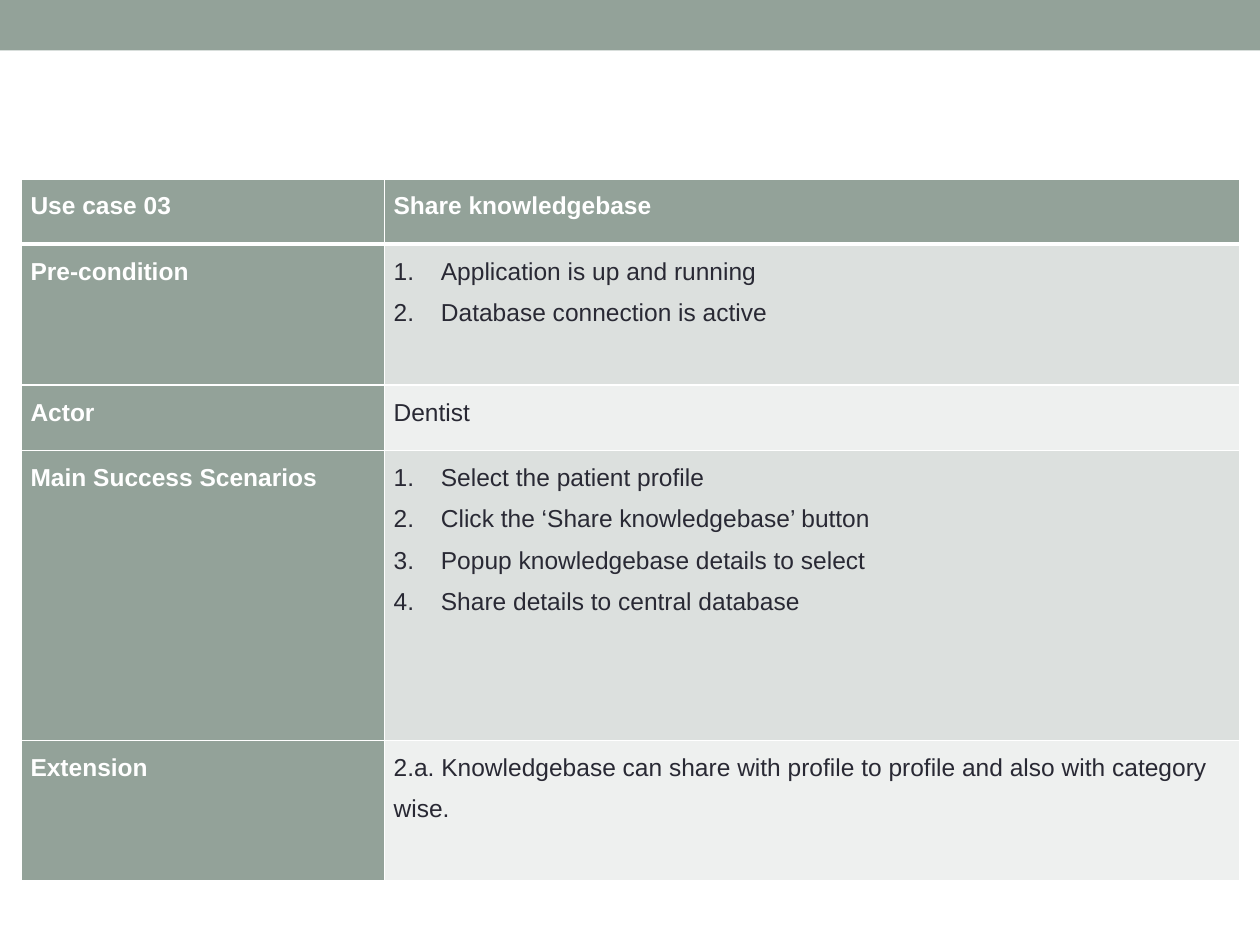
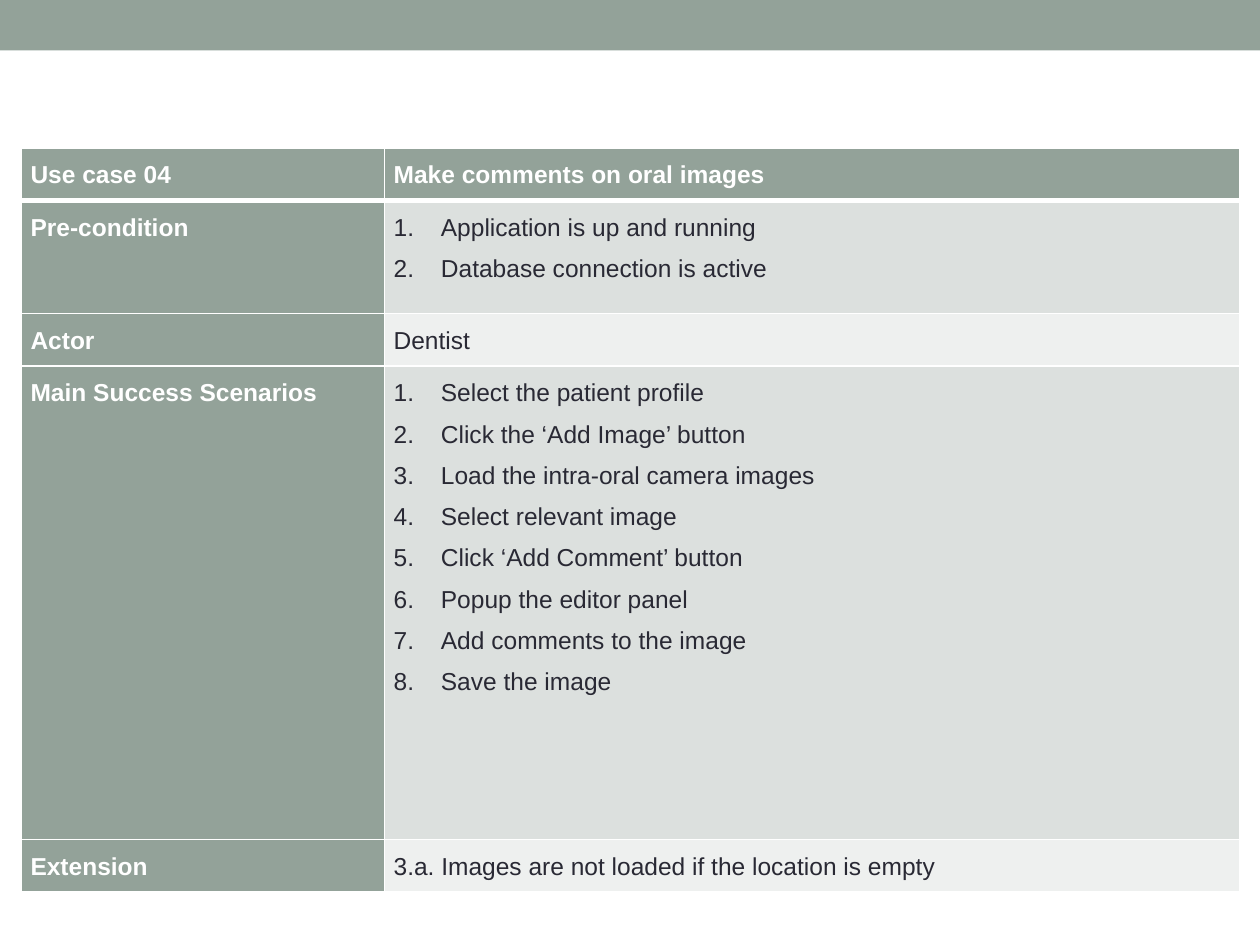
import pptx
import pptx.dml.color
import pptx.enum.shapes
import pptx.util
from lxml import etree
from pptx.oxml.ns import qn

Pt = pptx.util.Pt
SAGE, WHITE, INK = "93A299", "FFFFFF", "292934"
BANDS = ["DCE0DE", "EEF0EF"]
COL_WIDTHS = [207.5, 488.5]
TABLE_LEFT = 12.25
NUMBER_INDENT = 27

# A list holds numbered steps; a plain string is an unnumbered paragraph.
PRECONDITIONS = ["Application is up and running", "Database connection is active"]
USE_CASES = [
    {
        "top": 102.25,
        "heights": [37.3, 80.5, 37.5, 165.6, 80.5],
        "rows": [
            ("Use case 03", "Share knowledgebase"),
            ("Pre-condition", PRECONDITIONS),
            ("Actor", "Dentist"),
            ("Main Success Scenarios", [
                "Select the patient profile",
                "Click the ‘Share knowledgebase’ button",
                "Popup knowledgebase details to select",
                "Share details to central database",
            ]),
            ("Extension", "2.a. Knowledgebase can share with profile to profile "
                          "and also with category wise."),
        ],
    },
    {
        "top": 84.5,
        "heights": [30, 64.6, 30, 270.8, 30],
        "rows": [
            ("Use case 04", "Make comments on oral images"),
            ("Pre-condition", PRECONDITIONS),
            ("Actor", "Dentist"),
            ("Main Success Scenarios", [
                "Select the patient profile",
                "Click the ‘Add Image’ button",
                "Load the intra-oral camera images",
                "Select relevant image",
                "Click ‘Add Comment’ button",
                "Popup the editor panel",
                "Add comments to the image",
                "Save the image",
            ]),
            ("Extension", "3.a. Images are not loaded if the location is empty"),
        ],
    },
]


def rgb(color):
    return pptx.dml.color.RGBColor.from_string(color)


def fill_cell(cell, content, row, col):
    """Write, colour and border one cell; row 0 and column 0 are headings."""
    heading = row == 0 or col == 0
    cell.margin_left = cell.margin_right = Pt(5.2)
    cell.margin_top = cell.margin_bottom = 0

    tcPr = cell._tc.get_or_add_tcPr()
    widths = {"lnL": 1, "lnR": 1, "lnT": 3 if row == 1 else 1, "lnB": 3 if row == 0 else 1}
    for tag, width in widths.items():
        ln = etree.SubElement(tcPr, qn("a:" + tag), w=str(Pt(width)))
        line_fill = etree.SubElement(ln, qn("a:solidFill"))
        etree.SubElement(line_fill, qn("a:srgbClr"), val=WHITE)
    cell.fill.solid()
    cell.fill.fore_color.rgb = rgb(SAGE if heading else BANDS[(row - 1) % 2])

    numbered = isinstance(content, list)
    tf = cell.text_frame
    for i, text in enumerate(content if numbered else [content]):
        p = tf.add_paragraph() if i else tf.paragraphs[0]
        p.line_spacing = 1.5
        if numbered:
            pPr = p._p.get_or_add_pPr()
            pPr.set("marL", str(Pt(NUMBER_INDENT)))
            pPr.set("indent", str(-Pt(NUMBER_INDENT)))
            etree.SubElement(pPr, qn("a:buFont"), typeface="+mj-lt")
            etree.SubElement(pPr, qn("a:buAutoNum"), type="arabicPeriod")
        r = p.add_run()
        r.text = text
        r.font.name = "Arial"
        r.font.size = Pt(14)
        r.font.bold = heading
        r.font.color.rgb = rgb(WHITE if heading else INK)


prs = pptx.Presentation()
prs.slide_width, prs.slide_height = Pt(720), Pt(540)

for case in USE_CASES:
    s = prs.slides.add_slide(prs.slide_layouts[6])

    band = s.shapes.add_shape(pptx.enum.shapes.MSO_SHAPE.RECTANGLE, 0, 0, prs.slide_width, Pt(28.8))
    band.shadow.inherit = False
    band.fill.solid()
    band.fill.fore_color.rgb = rgb(SAGE)
    band.line.fill.background()

    table = s.shapes.add_table(
        len(case["rows"]), len(COL_WIDTHS), Pt(TABLE_LEFT), Pt(case["top"]),
        Pt(sum(COL_WIDTHS)), Pt(sum(case["heights"]))).table
    for column, width in zip(table.columns, COL_WIDTHS):
        column.width = Pt(width)
    for row, (height, contents) in enumerate(zip(case["heights"], case["rows"])):
        table.rows[row].height = Pt(height)
        for col, content in enumerate(contents):
            fill_cell(table.cell(row, col), content, row, col)

prs.save("out.pptx")
